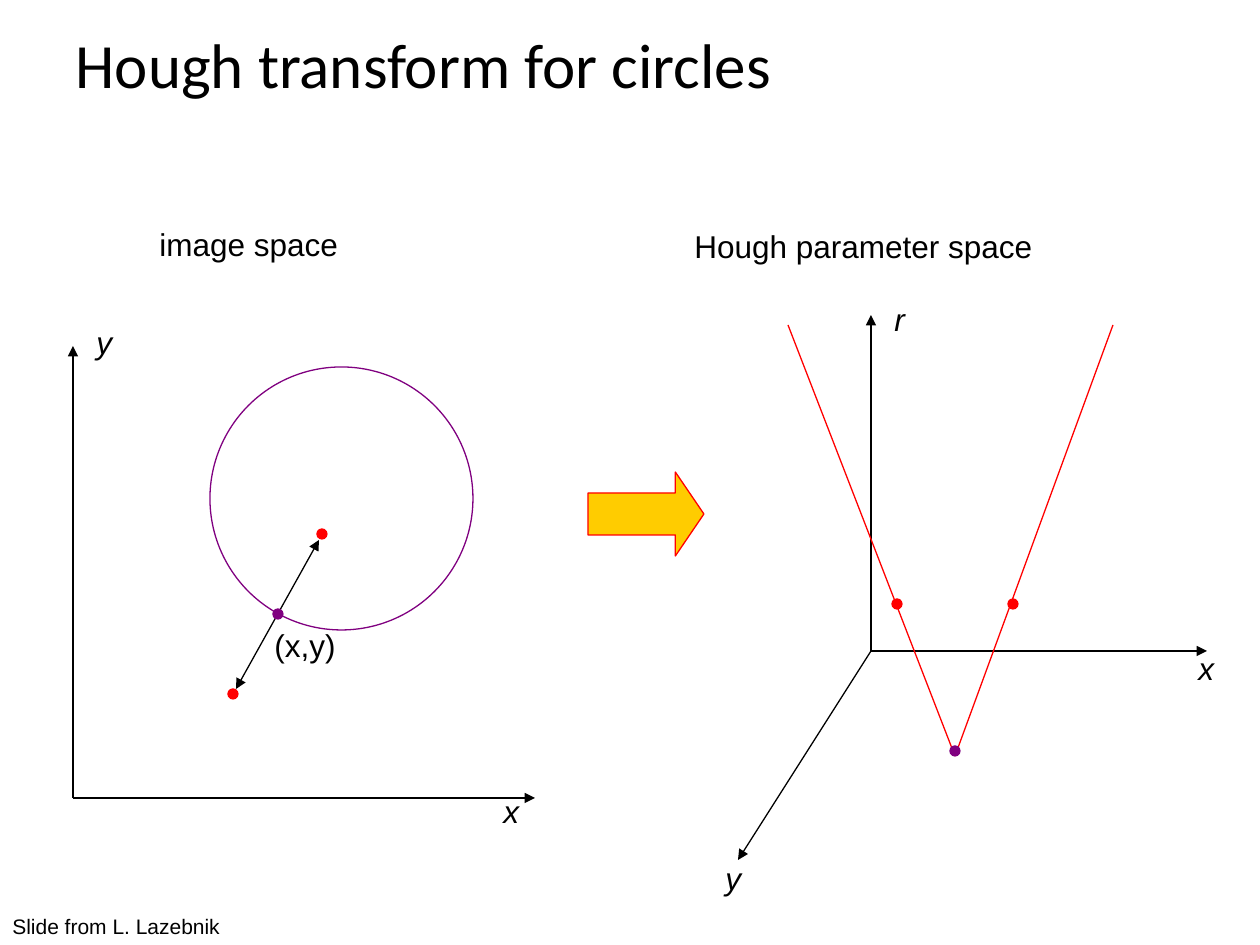
from lxml import etree
from pptx import Presentation
from pptx.dml.color import RGBColor
from pptx.enum.shapes import MSO_CONNECTOR, MSO_SHAPE
from pptx.enum.text import MSO_ANCHOR, PP_ALIGN
from pptx.oxml.ns import qn
from pptx.util import Emu, Pt

STRAIGHT = MSO_CONNECTOR.STRAIGHT
ELLIPSE, RIGHT_ARROW = MSO_SHAPE.OVAL, MSO_SHAPE.RIGHT_ARROW
LEFT, MIDDLE, TOP = PP_ALIGN.LEFT, MSO_ANCHOR.MIDDLE, MSO_ANCHOR.TOP
TITLE_ONLY = 5
PX_PER_INCH = 126
BLACK, RED, PURPLE, GOLD = "000000", "FF0000", "800080", "FFCC00"
DOT_SIZE = 10
LINE_WIDTH = Pt(0.75)

LABEL_FORMAT = {"name": "Arial", "size": Pt(18)}
AXIS_FORMAT = {**LABEL_FORMAT, "italic": True}
CREDIT_FORMAT = {"name": "Arial", "size": Pt(12)}
TITLE_FORMAT = {"name": "Calibri", "size": Pt(36)}


def px(value):
    return Emu(round(value * 914400 / PX_PER_INCH))


def color(value):
    return RGBColor.from_string(value)


def write_text(shape, text, font_format, anchor):
    frame = shape.text_frame
    frame.word_wrap = True
    frame.vertical_anchor = anchor
    paragraph = frame.paragraphs[0]
    paragraph.alignment = LEFT
    run = paragraph.add_run()
    run.text = text
    for name, value in font_format.items():
        setattr(run.font, name, value)
    run.font.color.rgb = color(BLACK)


def set_title(slide, text):
    title = slide.shapes.title
    title.left, title.top, title.width, title.height = map(px, (63, 0, 1134, 126))
    write_text(title, text, TITLE_FORMAT, MIDDLE)


def add_label(slide, text, box, font_format=LABEL_FORMAT):
    write_text(slide.shapes.add_textbox(*map(px, box)), text, font_format, TOP)


def add_line(slide, start, end, line_color=BLACK, arrow_ends=()):
    """Draw a line; arrow_ends may hold "headEnd" (start) and "tailEnd" (end)."""
    line = slide.shapes.add_connector(STRAIGHT, *map(px, (*start, *end)))
    line.line.color.rgb = color(line_color)
    line.line.width = LINE_WIDTH
    outline = line.line._get_or_add_ln()
    for arrow_end in arrow_ends:
        etree.SubElement(outline, qn(f"a:{arrow_end}"), type="triangle")
    etree.SubElement(line._element.spPr, qn("a:effectLst"))


def add_figure(slide, kind, box, line_color, fill_color=None):
    shape = slide.shapes.add_shape(kind, *map(px, box))
    shape.shadow.inherit = False
    if fill_color:
        shape.fill.solid()
        shape.fill.fore_color.rgb = color(fill_color)
    else:
        shape.fill.background()
    shape.line.color.rgb = color(line_color)
    shape.line.width = LINE_WIDTH
    return shape


def add_dot(slide, center, dot_color):
    x, y = center
    box = (x - DOT_SIZE / 2, y - DOT_SIZE / 2, DOT_SIZE, DOT_SIZE)
    add_figure(slide, ELLIPSE, box, dot_color, dot_color)


def add_axes(slide, origin, axes):
    """Draw an arrow from the origin for each (end, name, label position)."""
    for end, name, (left, top) in axes:
        add_line(slide, origin, end, arrow_ends=["tailEnd"])
        add_label(slide, name, (left, top, 50, 72), AXIS_FORMAT)


def draw_image_space(slide):
    add_label(slide, "image space", (147, 219, 304, 72))
    add_axes(slide, (73, 798), [
        ((73, 346), "y", (84, 317)),
        ((535, 798), "x", (491, 786)),
    ])
    add_figure(slide, ELLIPSE, (210, 367, 263, 263), PURPLE)
    add_line(slide, (236, 689), (319, 540), arrow_ends=["headEnd", "tailEnd"])
    add_label(slide, "(x,y)", (262, 620, 88, 50))
    add_dot(slide, (278, 614), PURPLE)
    for center in ((322, 534), (233, 694)):
        add_dot(slide, center, RED)


def draw_parameter_space(slide):
    add_label(slide, "Hough parameter space", (682, 221, 552, 72))
    add_axes(slide, (871, 651), [
        ((871, 315), "r", (882, 294)),
        ((1207, 651), "x", (1186, 643)),
        ((738, 860), "y", (713, 853)),
    ])
    for top_end in ((1113, 325), (788, 325)):
        add_line(slide, (955, 756), top_end, RED)
    add_dot(slide, (955, 751), PURPLE)
    for center in ((1013, 604), (897, 604)):
        add_dot(slide, center, RED)


def main():
    presentation = Presentation()
    presentation.slide_width, presentation.slide_height = px(1260), px(945)
    slide = presentation.slides.add_slide(presentation.slide_layouts[TITLE_ONLY])
    set_title(slide, "Hough transform for circles")
    draw_image_space(slide)
    draw_parameter_space(slide)
    arrow = add_figure(slide, RIGHT_ARROW, (588, 472, 116, 84), RED, GOLD)
    arrow.adjustments[1] = 0.34
    add_label(slide, "Slide from L. Lazebnik", (0, 907, 242, 38), CREDIT_FORMAT)
    presentation.save("out.pptx")


if __name__ == "__main__":
    main()
